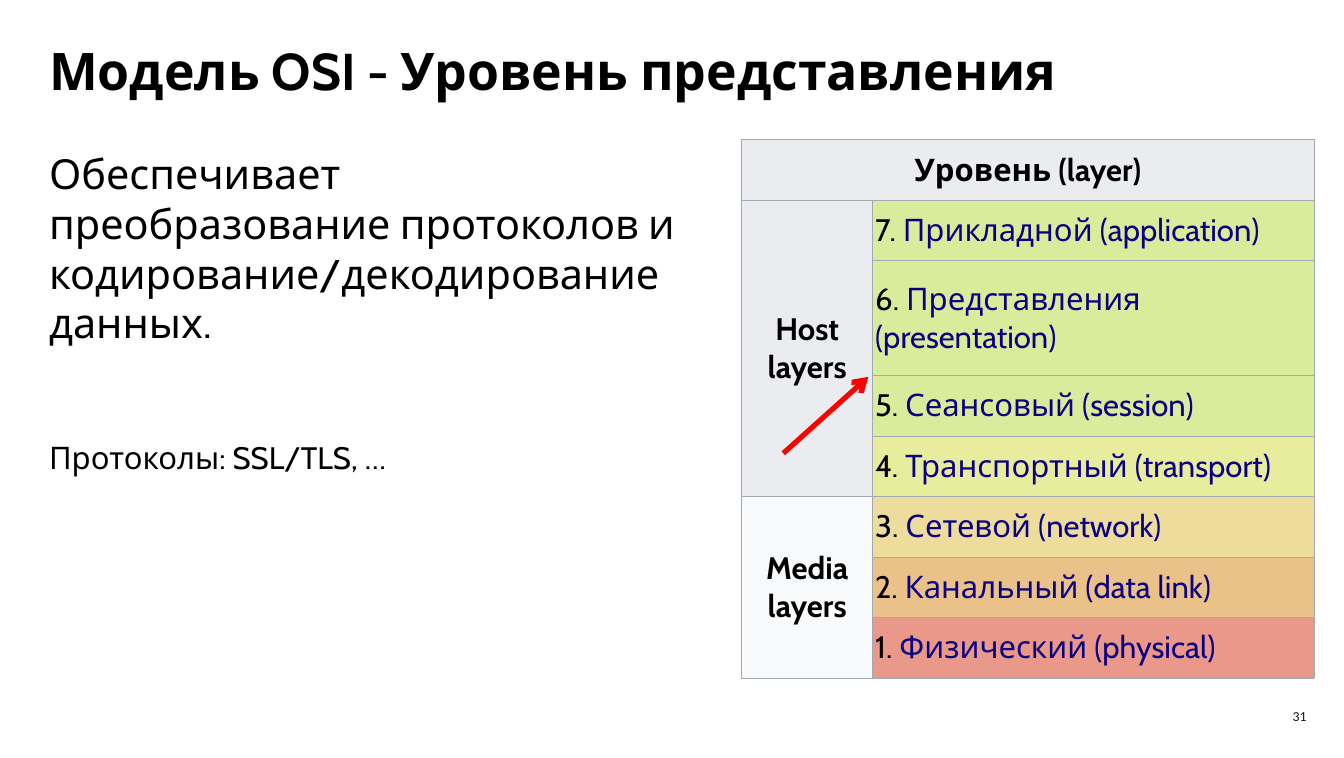
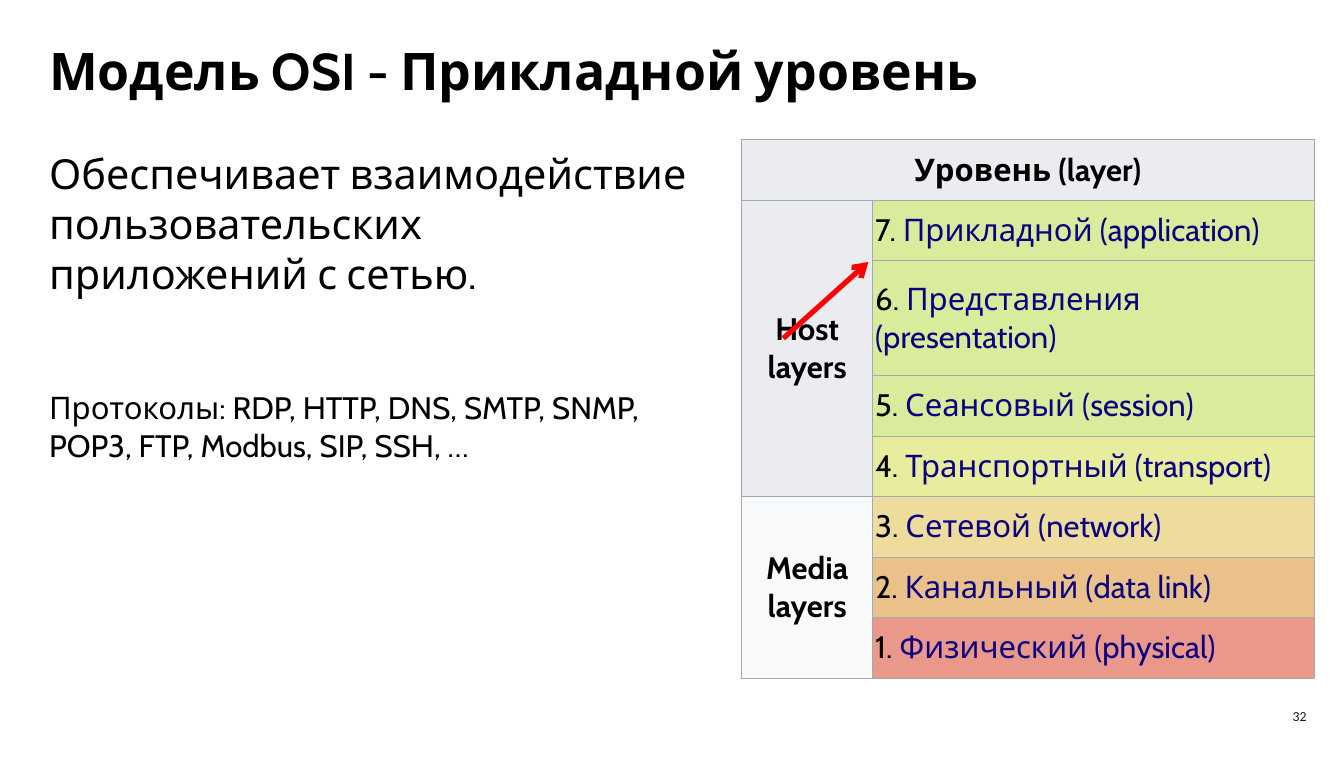
from itertools import accumulate

from lxml.etree import SubElement
from pptx import Presentation
from pptx.dml.color import RGBColor
from pptx.enum.shapes import MSO_CONNECTOR
from pptx.enum.text import MSO_ANCHOR, PP_ALIGN
from pptx.oxml import parse_xml
from pptx.oxml.ns import nsdecls, qn
from pptx.util import Inches, Pt

# A page of 55 by 31 centimetres
SLIDE_WIDTH, SLIDE_HEIGHT = 55 / 2.54, 31 / 2.54

BLACK, LINK, RED, BORDER = "000000", "0B0080", "FF0000", "A2A9B1"
HEADER_FILL, MEDIA_FILL = "EAECF0", "F8F9FA"
TITLE = {"name": "Cabin", "size": Pt(60), "bold": True}
BODY = {"name": "Cabin", "size": Pt(48), "bold": False}
SMALL = {**BODY, "size": Pt(36)}
SMALL_BOLD = {**SMALL, "bold": True}
NUMBER = {"name": "Calibri", "size": Pt(16)}

TITLE_BOX = (0.79, 0.62, 19.36, 1)
BODY_BOX = (0.79, 2.39, 10.3, 5.2)
TABLE_BOX = (11.95, 2.25, 9.22, 8.67)
NUMBER_BOX = (19.98, 11.29, 1.17, 0.47)

LAYERS = [
    (7, "Прикладной (application)", "D8EC9B"),
    (6, "Представления (presentation)", "D8EC9B"),
    (5, "Сеансовый (session)", "D8EC9B"),
    (4, "Транспортный (transport)", "E7ED9C"),
    (3, "Сетевой (network)", "EDDC9C"),
    (2, "Канальный (data link)", "E9C189"),
    (1, "Физический (physical)", "E9988A"),
]
# First row, last row, name, fill
GROUPS = [(1, 4, "Host\nlayers", HEADER_FILL), (5, 7, "Media\nlayers", MEDIA_FILL)]
GROUP_WIDTH, TALL_ROW, TALL_LAYER = 2.11, 1.85, 6

SLIDES = [
    (31, "Модель OSI - Уровень представления",
     "Обеспечивает преобразование протоколов и кодирование/декодирование данных.",
     "Протоколы: SSL/TLS, …", 6),
    (32, "Модель OSI - Прикладной уровень",
     "Обеспечивает взаимодействие пользовательских приложений с сетью.",
     "Протоколы: RDP, HTTP, DNS, SMTP, SNMP, POP3, FTP, Modbus, SIP, SSH, …", 7),
]


def rgb(color):
    return RGBColor.from_string(color)


def add_run(p, text, style, color=BLACK):
    r = p.add_run()
    r.text = text
    for name, value in style.items():
        setattr(r.font, name, value)
    r.font.color.rgb = rgb(color)


def add_text_frame(slide, box, inset=True):
    tf = slide.shapes.add_textbox(*map(Inches, box)).text_frame
    tf.word_wrap = True
    if not inset:
        tf.margin_left = tf.margin_top = tf.margin_right = tf.margin_bottom = 0
    return tf


def add_title(slide, box, text):
    add_run(add_text_frame(slide, box, inset=False).paragraphs[0], text, TITLE)


def add_body(slide, box, purpose, protocols):
    tf = add_text_frame(slide, box, inset=False)
    add_run(tf.paragraphs[0], purpose, BODY)
    p = tf.add_paragraph()
    p.space_before = Pt(106)
    add_run(p, protocols, SMALL)


def add_number(slide, box, number):
    tf = add_text_frame(slide, box)
    tf.vertical_anchor = MSO_ANCHOR.MIDDLE
    p = tf.paragraphs[0]
    p.alignment = PP_ALIGN.RIGHT
    add_run(p, str(number), NUMBER, "1A1919")


def format_cell(cell, fill):
    """Set borders, fill, margins and anchor; borders must precede the fill."""
    tcPr = cell._tc.get_or_add_tcPr()
    for side in "LRTB":
        tcPr.append(parse_xml(
            f'<a:ln{side} {nsdecls("a")} w="{Pt(0.75)}"><a:solidFill>'
            f'<a:srgbClr val="{BORDER}"/></a:solidFill></a:ln{side}>'))
    cell.fill.solid()
    cell.fill.fore_color.rgb = rgb(fill)
    cell.margin_left = cell.margin_right = Inches(0.04)
    cell.margin_top = cell.margin_bottom = Inches(0.02)
    cell.vertical_anchor = MSO_ANCHOR.MIDDLE


def fill_heading(cell, text):
    p = cell.text_frame.paragraphs[0]
    p.alignment = PP_ALIGN.CENTER
    for i, line in enumerate(text.split("\n")):
        if i:
            p.add_line_break()
        add_run(p, line, SMALL_BOLD)


def row_heights(height):
    """Share the height equally, apart from the one tall row."""
    row = (height - TALL_ROW) / len(LAYERS)
    return [row] + [TALL_ROW if number == TALL_LAYER else row
                    for number, _, _ in LAYERS]


def add_layer_table(slide, box):
    _, _, width, height = box
    heights = row_heights(height)
    table = slide.shapes.add_table(len(heights), 2, *map(Inches, box)).table
    table.first_row = table.horz_banding = False
    table.columns[0].width = Inches(GROUP_WIDTH)
    table.columns[1].width = Inches(width - GROUP_WIDTH)
    for row, row_height in zip(table.rows, heights):
        row.height = Inches(row_height)

    for col in range(2):
        format_cell(table.cell(0, col), HEADER_FILL)
    table.cell(0, 0).merge(table.cell(0, 1))
    fill_heading(table.cell(0, 0), "Уровень (layer)")

    for first, last, name, fill in GROUPS:
        for row in range(first, last + 1):
            format_cell(table.cell(row, 0), fill)
        table.cell(first, 0).merge(table.cell(last, 0))
        fill_heading(table.cell(first, 0), name)

    for row, (number, name, fill) in enumerate(LAYERS, 1):
        cell = table.cell(row, 1)
        format_cell(cell, fill)
        p = cell.text_frame.paragraphs[0]
        add_run(p, f"{number}. ", SMALL)
        add_run(p, name, SMALL, LINK)


def add_layer_arrow(slide, box, layer):
    """Point at the lower left corner of the given layer's cell."""
    left, top, _, height = box
    row = [number for number, _, _ in LAYERS].index(layer) + 1
    tip_x = left + GROUP_WIDTH - 0.07
    tip_y = top + list(accumulate(row_heights(height)))[row] + 0.02
    line = slide.shapes.add_connector(
        MSO_CONNECTOR.STRAIGHT,
        *map(Inches, (tip_x - 1.37, tip_y + 1.23, tip_x, tip_y)))
    line.line.color.rgb = rgb(RED)
    line.line.width = Pt(6)
    SubElement(line.line._get_or_add_ln(), qn("a:tailEnd"), type="arrow")
    SubElement(line._element.spPr, qn("a:effectLst"))


def add_layer_slide(prs, number, title, purpose, protocols, layer):
    slide = prs.slides.add_slide(prs.slide_layouts[6])
    add_number(slide, NUMBER_BOX, number)
    add_title(slide, TITLE_BOX, title)
    add_layer_table(slide, TABLE_BOX)
    add_body(slide, BODY_BOX, purpose, protocols)
    add_layer_arrow(slide, TABLE_BOX, layer)


def main():
    prs = Presentation()
    prs.slide_width = Inches(SLIDE_WIDTH)
    prs.slide_height = Inches(SLIDE_HEIGHT)
    for content in SLIDES:
        add_layer_slide(prs, *content)
    prs.save("out.pptx")


if __name__ == "__main__":
    main()
